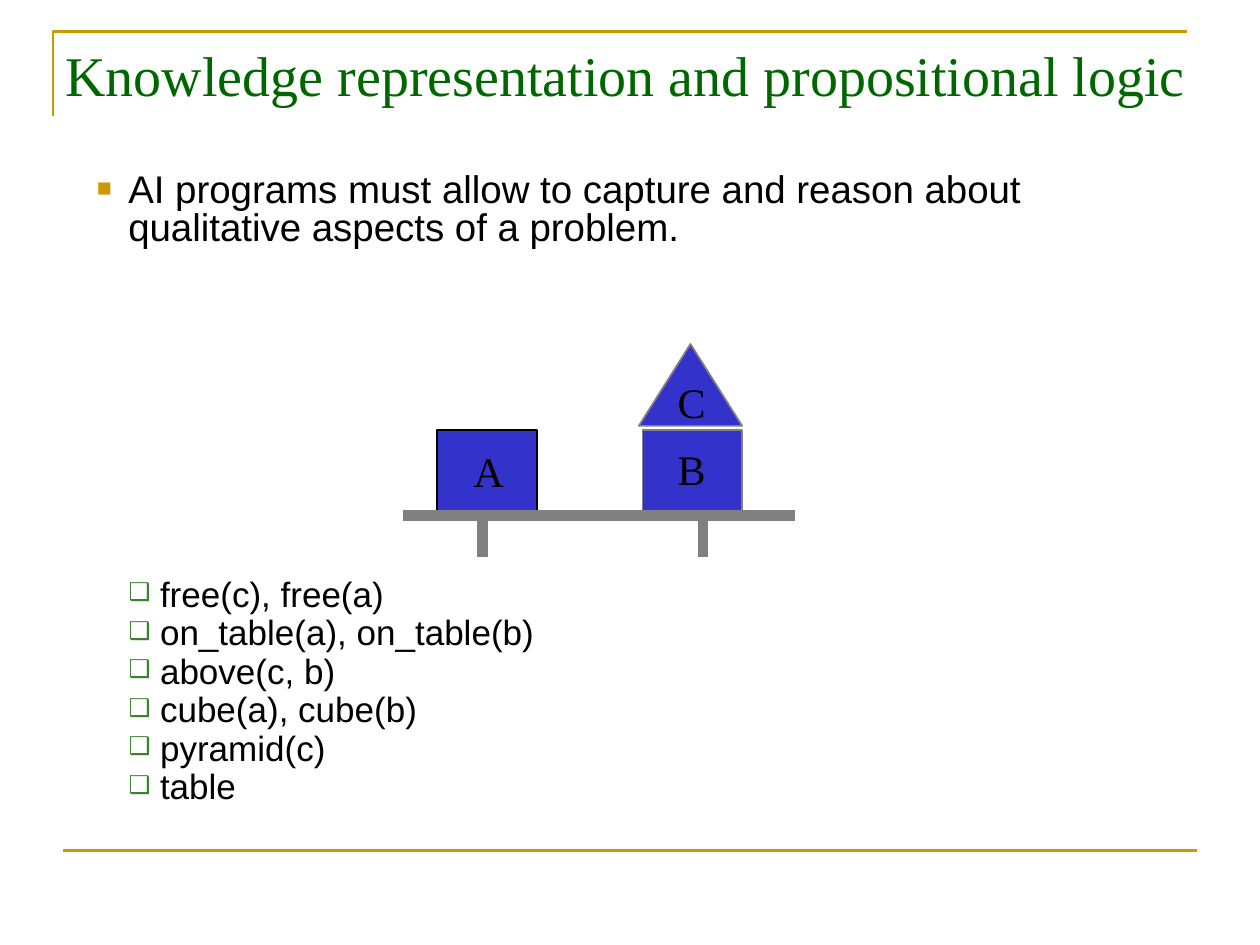
from dataclasses import dataclass

from lxml import etree
from pptx import Presentation
from pptx import util as u
from pptx.dml.color import RGBColor
from pptx.enum import shapes, text
from pptx.oxml import ns

GOLD = RGBColor(0xCC, 0x99, 0x00)
GREEN = RGBColor(0x00, 0x66, 0x00)
LEAF = RGBColor(0x3B, 0x81, 0x2F)
BLUE = RGBColor(0x33, 0x33, 0xCC)
GRAY = RGBColor(0x80, 0x80, 0x80)
BLACK = RGBColor(0x00, 0x00, 0x00)
SERIF = "Times New Roman"


@dataclass
class Block:
    kind: shapes.MSO_SHAPE
    box: tuple[float, float, float, float]
    edge: RGBColor


@dataclass
class Label:
    word: str
    box: tuple[float, float, float, float]


@dataclass
class Rule:
    start: tuple[float, float]
    end: tuple[float, float]
    color: RGBColor
    width: float


@dataclass
class Bullet:
    sign: str
    color: RGBColor
    scale: int


def inch(nums) -> list[u.Length]:
    return [u.Inches(n) for n in nums]


def apply(thing, looks: dict) -> None:
    for name, value in looks.items():
        setattr(thing, name, value)


def place(item, box) -> None:
    apply(item, dict(zip(("left", "top", "width", "height"), inch(box))))


def style(font, name: str, size: float, color: RGBColor) -> None:
    apply(font, {"name": name, "size": u.Pt(size), "bold": False})
    font.color.rgb = color


def add_mark(par, mark: Bullet) -> None:
    props = par._p.get_or_add_pPr()
    props.set("marL", str(u.Inches(0.25)))
    props.set("indent", str(-u.Inches(0.25)))
    tint = etree.SubElement(props, ns.qn("a:buClr"))
    etree.SubElement(tint, ns.qn("a:srgbClr"), val=str(mark.color))
    etree.SubElement(props, ns.qn("a:buSzPct"), val=str(mark.scale * 1000))
    etree.SubElement(props, ns.qn("a:buFont"), typeface="Arial")
    etree.SubElement(props, ns.qn("a:buChar"), char=mark.sign)


def fill_list(frame, lines: list[str], size: float, looks: dict, mark: Bullet) -> None:
    apply(frame, {"word_wrap": True, "auto_size": text.MSO_AUTO_SIZE.NONE})
    frame.text = "\n".join(lines)
    for par in frame.paragraphs:
        apply(par, looks)
        add_mark(par, mark)
        style(par.runs[0].font, "Arial", size, BLACK)


def draw_block(slide, block: Block) -> None:
    item = slide.shapes.add_shape(block.kind, *inch(block.box))
    item.shadow.inherit = False
    item.fill.solid()
    item.fill.fore_color.rgb = BLUE
    item.line.color.rgb = block.edge
    item.line.width = u.Pt(1)


def draw_label(slide, label: Label) -> None:
    frame = slide.shapes.add_textbox(*inch(label.box)).text_frame
    apply(frame, {"word_wrap": False, "auto_size": text.MSO_AUTO_SIZE.SHAPE_TO_FIT_TEXT})
    par = frame.paragraphs[0]
    apply(par, {"text": label.word, "alignment": text.PP_ALIGN.CENTER})
    style(par.runs[0].font, SERIF, 24, BLACK)


def draw_rule(slide, rule: Rule) -> None:
    line = slide.shapes.add_connector(
        shapes.MSO_CONNECTOR.STRAIGHT, *inch(rule.start + rule.end))
    line.line.color.rgb = rule.color
    line.line.width = u.Pt(rule.width)
    etree.SubElement(line._element.spPr, ns.qn("a:effectLst"))


def draw_frame(slide) -> None:
    pen = slide.shapes.build_freeform(*inch((0.42, 0.92)))
    pen.add_line_segments([inch((0.42, 0.25)), inch((9.42, 0.25))], close=False)
    item = pen.convert_to_shape()
    item.shadow.inherit = False
    item.fill.background()
    item.line.color.rgb = GOLD
    item.line.width = u.Pt(1.5)


deck = Presentation()
apply(deck, {"slide_width": u.Inches(10), "slide_height": u.Inches(7.5)})
slide = deck.slides.add_slide(deck.slide_layouts[1])

draw_frame(slide)
draw_rule(slide, Rule((0.5, 6.75), (9.5, 6.75), GOLD, 1.5))

title = slide.shapes.title
place(title, (0.42, 0.25, 9.17, 0.75))
apply(title.text_frame, {
    "text": "Knowledge representation and propositional logic",
    "word_wrap": True,
    "auto_size": text.MSO_AUTO_SIZE.NONE,
    "vertical_anchor": text.MSO_ANCHOR.MIDDLE,
})
head = title.text_frame.paragraphs[0]
apply(head, {"alignment": text.PP_ALIGN.LEFT, "line_spacing": 0.86})
style(head.runs[0].font, SERIF, 32, GREEN)

facts = slide.placeholders[1]
place(facts, (0.92, 4.58, 7.42, 2))
fill_list(
    facts.text_frame,
    ["free(c), free(a)", "on_table(a), on_table(b)", "above(c, b)",
     "cube(a), cube(b)", "pyramid(c)", "table"],
    20, {"level": 3, "line_spacing": 0.71, "space_before": u.Pt(5)},
    Bullet("\u2751", LEAF, 70))

claim = slide.shapes.add_textbox(*inch((0.67, 1.33, 8.5, 0.75)))
fill_list(
    claim.text_frame,
    ["AI programs must allow to capture and reason about qualitative aspects of a problem."],
    22, {"level": 2, "line_spacing": 0.81, "space_before": u.Pt(5.5)},
    Bullet("\u25a0", GOLD, 65))

BLOCKS = [
    Block(shapes.MSO_SHAPE.RECTANGLE, (3.47, 3.41, 0.79, 0.65), BLACK),
    Block(shapes.MSO_SHAPE.RECTANGLE, (5.1, 3.41, 0.79, 0.65), GRAY),
    Block(shapes.MSO_SHAPE.ISOSCELES_TRIANGLE, (5.07, 2.73, 0.82, 0.65), GRAY),
]
LABELS = [
    Label("A", (3.66, 3.49, 0.44, 0.5)),
    Label("B", (5.28, 3.47, 0.42, 0.5)),
    Label("C", (5.28, 2.94, 0.42, 0.5)),
]
TABLE = [Rule((3.2, 4.09), (6.31, 4.09), GRAY, 6)]
TABLE += [Rule((x, 4.08), (x, 4.42), GRAY, 6) for x in (3.83, 5.58)]

for block in BLOCKS:
    draw_block(slide, block)
for label in LABELS:
    draw_label(slide, label)
for rule in TABLE:
    draw_rule(slide, rule)

deck.save("out.pptx")
